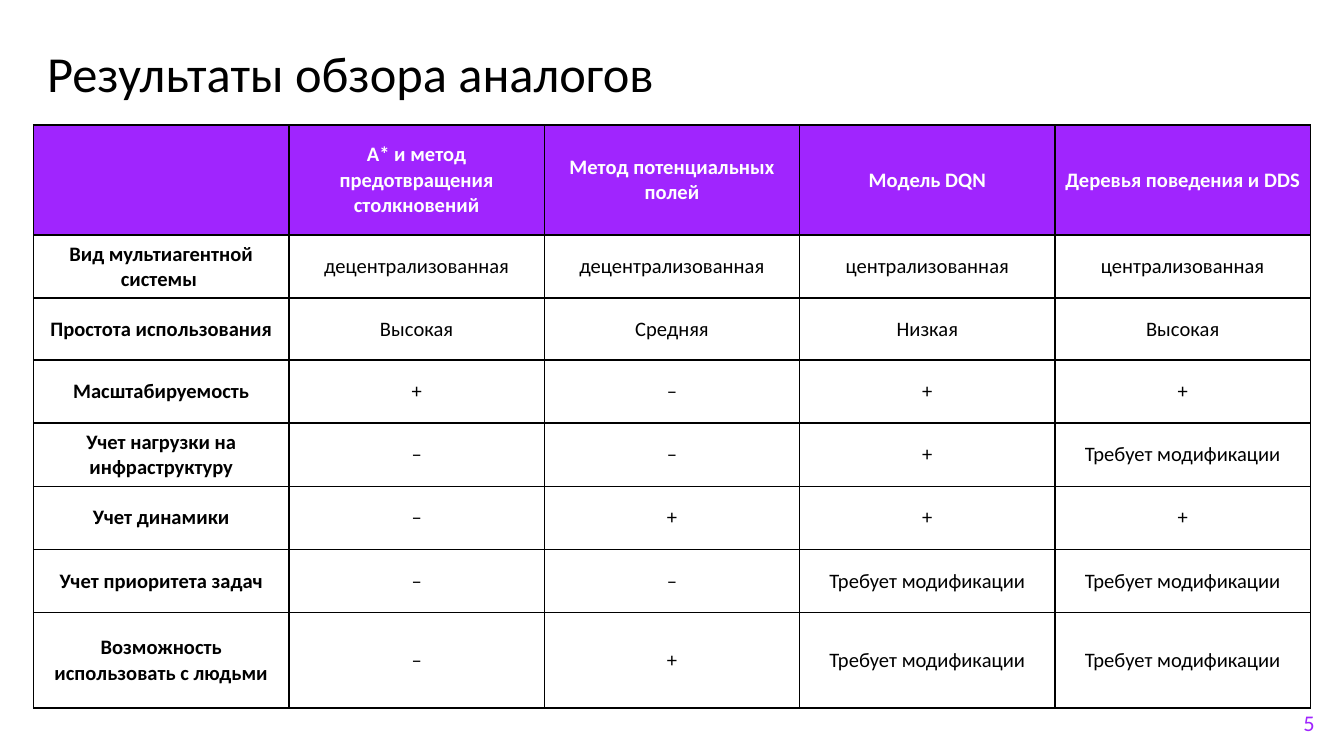
from lxml.etree import SubElement
from pptx import Presentation
from pptx.dml.color import RGBColor
from pptx.enum.text import MSO_ANCHOR, PP_ALIGN
from pptx.oxml.ns import qn
from pptx.util import Inches, Pt

PURPLE = RGBColor(0xA0, 0x25, 0xFE)
WHITE = RGBColor(0xFF, 0xFF, 0xFF)
BLACK = RGBColor(0, 0, 0)

WIDTH = 10
HEIGHT = WIDTH * 9 / 16
MARGIN = 0.25
ROW_HEIGHTS = [0.82, 0.47, 0.46] + [0.47] * 4 + [0.71]
MODIFY = "Требует модификации"

ROWS = [
    ["", "A* и метод предотвращения столкновений", "Метод потенциальных полей",
     "Модель DQN", "Деревья поведения и DDS"],
    ["Вид мультиагентной системы ", "децентрализованная", "децентрализованная",
     "централизованная", "централизованная"],
    ["Простота использования", "Высокая", "Средняя", "Низкая", "Высокая"],
    ["Масштабируемость", "+", "–", "+", "+"],
    ["Учет нагрузки на инфраструктуру", "–", "–", "+", MODIFY],
    ["Учет динамики", "–", "+", "+", "+"],
    ["Учет приоритета задач", "–", "–", MODIFY, MODIFY],
    ["Возможность использовать с людьми", "–", "+", MODIFY, MODIFY],
]


class SlideBuilder:
    """Holds the text style and the current slide; lengths are in inches."""

    font_name = "Calibri"

    def __init__(self, slide):
        self.s = slide

    def style(self, p, size, color, bold=False):
        p.font.name = self.font_name
        p.font.size = Pt(size)
        p.font.bold = bold
        p.font.color.rgb = color

    def title(self, text, left, top, width, height):
        sp = self.s.shapes.title
        sp.left, sp.top, sp.width, sp.height = map(Inches, (left, top, width, height))
        tf = sp.text_frame
        tf.text = text
        tf.vertical_anchor = MSO_ANCHOR.MIDDLE
        p = tf.paragraphs[0]
        p.alignment = PP_ALIGN.LEFT
        self.style(p, 27, BLACK)

    def page_number(self, text, left, top, size):
        sp = self.s.shapes.add_textbox(*map(Inches, (left, top, size, size)))
        tf = sp.text_frame
        tf.word_wrap = False
        tf.text = text
        self.style(tf.paragraphs[0], 12, PURPLE)

    def table(self, rows, left, top, width, row_heights):
        columns = len(rows[0])
        frame = self.s.shapes.add_table(
            len(rows), columns,
            *map(Inches, (left, top, width, sum(row_heights))))
        table = frame.table
        for column in table.columns:
            column.width = Inches(width / columns)
        for i, (texts, height) in enumerate(zip(rows, row_heights)):
            table.rows[i].height = Inches(height)
            for j, text in enumerate(texts):
                self.cell(table.cell(i, j), text, header=i == 0, label=j == 0)

    def cell(self, cell, text, header, label):
        cell.margin_left = cell.margin_right = Inches(0.05)
        cell.margin_top = cell.margin_bottom = 0
        cell.vertical_anchor = MSO_ANCHOR.MIDDLE
        self.borders(cell)
        cell.fill.solid()
        cell.fill.fore_color.rgb = PURPLE if header else WHITE
        cell.text = text
        p = cell.text_frame.paragraphs[0]
        p.alignment = PP_ALIGN.CENTER
        p.space_after = Pt(8)
        self.style(p, 11, WHITE if header else BLACK, bold=header or label)

    def borders(self, cell):
        properties = cell._tc.get_or_add_tcPr()
        for side in ("a:lnL", "a:lnR", "a:lnT", "a:lnB"):
            line = SubElement(properties, qn(side), w=str(Pt(1)))
            fill = SubElement(line, qn("a:solidFill"))
            SubElement(fill, qn("a:srgbClr"), val=str(BLACK))


def main():
    prs = Presentation()
    prs.slide_width, prs.slide_height = Inches(WIDTH), Inches(HEIGHT)
    title_only = prs.slide_layouts[5]
    builder = SlideBuilder(prs.slides.add_slide(title_only))
    builder.table(ROWS, MARGIN, 0.93, WIDTH - 2 * MARGIN, ROW_HEIGHTS)
    builder.title("Результаты обзора аналогов", MARGIN, 0.26, 6.15, 0.56)
    builder.page_number("5", 9.6, 5.23, 0.3)
    prs.save("out.pptx")


if __name__ == "__main__":
    main()
